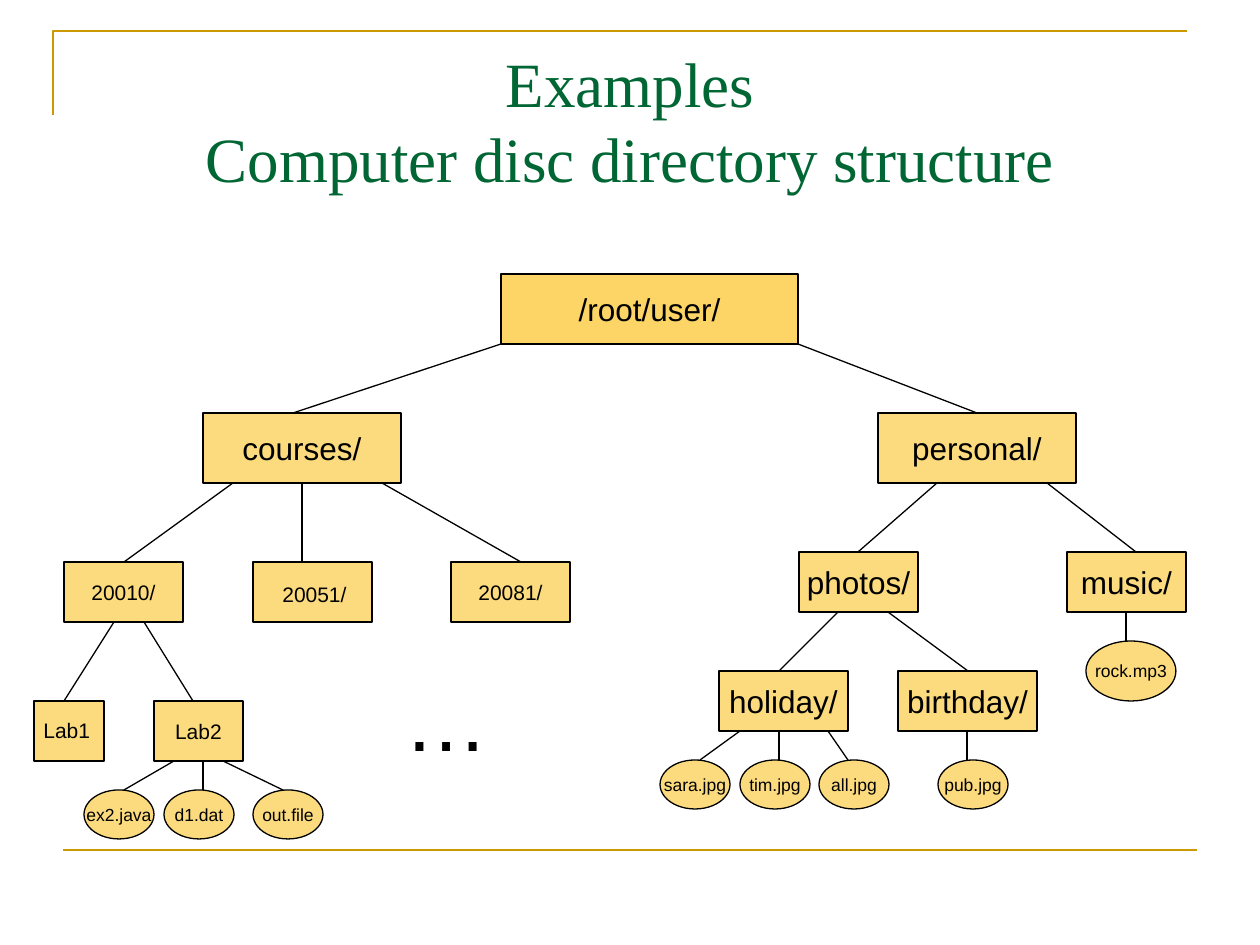
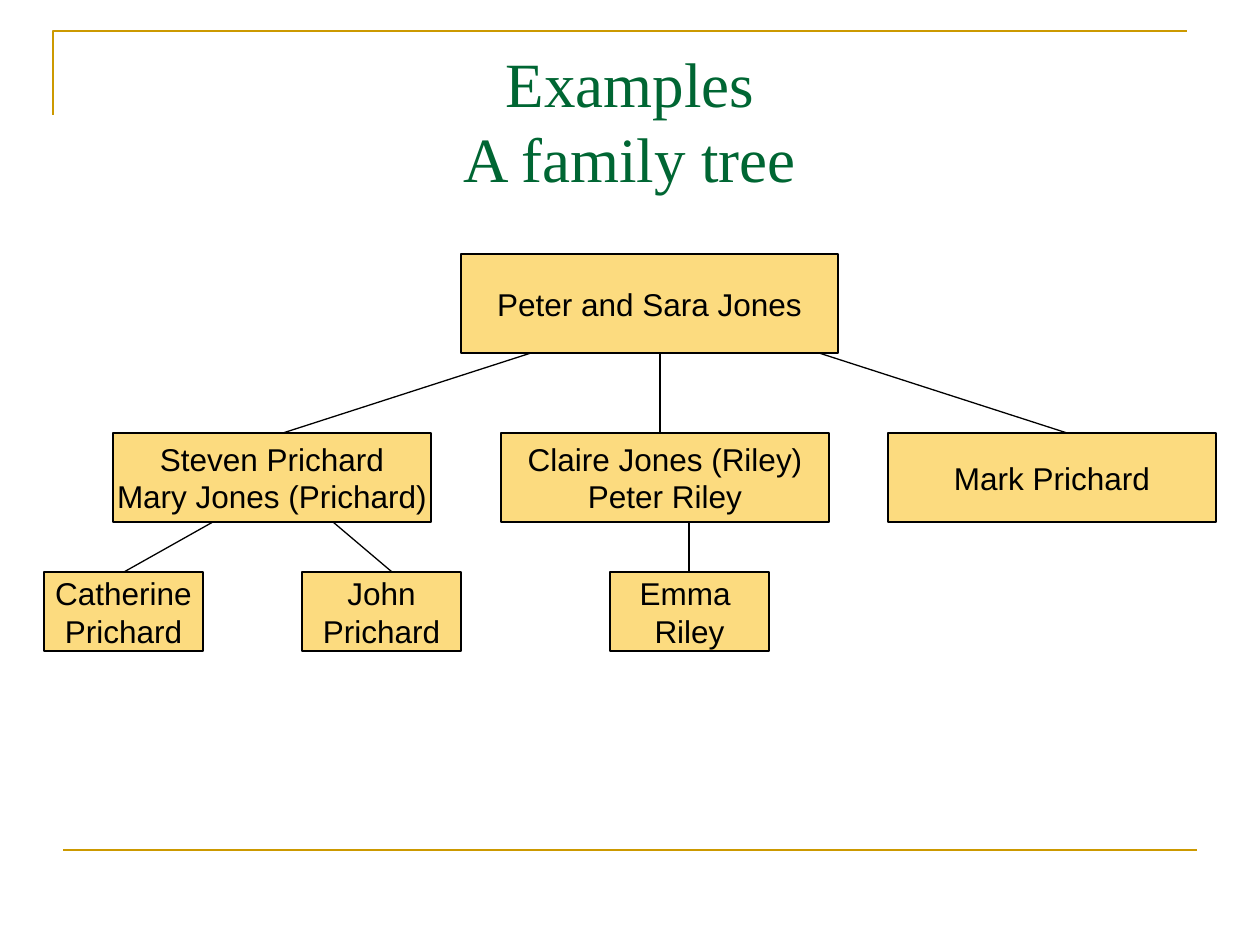
from pptx import Presentation
from pptx import util as u
from pptx.dml.color import RGBColor
from pptx.enum import shapes, text
from pptx.oxml.ns import qn
from lxml import etree

SCALE = 914400 / 126  # EMU in one px


def px(length):
    return u.Emu(round(length * SCALE))


def colour(hex_string):
    return RGBColor.from_string(hex_string)


class Deck:
    GOLD, GREEN, AMBER, BLACK = "CC9900", "006633", "FAB900", "000000"
    HEADING, BODY = "Times New Roman", "Arial"
    LEADING = 1.2

    def __init__(self):
        self.show = Presentation()
        self.show.slide_width, self.show.slide_height = px(1260), px(945)
        self.slide = None

    def new_slide(self, *title_lines):
        """Start a slide with the shared frame and title."""
        self.slide = self.show.slides.add_slide(self.show.slide_layouts[6])
        self.corner()
        self.line(63, 850, 1197, 850, self.GOLD, 1.5)
        self.label(title_lines, 63, 38, 1134, 157, 36, self.HEADING,
                   self.GREEN, text.PP_ALIGN.CENTER)

    def corner(self):
        outline = self.slide.shapes.build_freeform(53, 115, scale=SCALE)
        outline.add_line_segments([(53, 31), (1187, 31)], close=False)
        bracket = outline.convert_to_shape()
        bracket.shadow.inherit = False
        bracket.fill.background()
        self.stroke(bracket, self.GOLD, 1.5)

    def stroke(self, item, hex_string, points):
        item.line.color.rgb = colour(hex_string)
        item.line.width = u.Pt(points)

    def line(self, x1, y1, x2, y2, hex_string=BLACK, points=0.75):
        rule = self.slide.shapes.add_connector(
            shapes.MSO_CONNECTOR.STRAIGHT, px(x1), px(y1), px(x2), px(y2))
        self.stroke(rule, hex_string, points)
        etree.SubElement(rule._element.spPr, qn("a:effectLst"))

    def add_lines(self, frame, lines, size, font, hex_string, align):
        for i, words in enumerate(lines):
            para = frame.paragraphs[0] if i == 0 else frame.add_paragraph()
            para.alignment = align
            para.line_spacing = u.Pt(round(size * self.LEADING, 1))
            run = para.add_run()
            run.text = words
            run.font.size, run.font.name = u.Pt(size), font
            run.font.color.rgb = colour(hex_string)

    def label(self, lines, x, y, w, h, size, font=BODY, hex_string=BLACK,
              align=text.PP_ALIGN.LEFT, wrap=True):
        frame = self.slide.shapes.add_textbox(px(x), px(y), px(w), px(h)).text_frame
        frame.word_wrap = wrap
        self.add_lines(frame, lines, size, font, hex_string, align)

    def node(self, lines, x, y, w, h, size=18, opacity=50,
             kind=shapes.MSO_SHAPE.RECTANGLE):
        """Draw one tree node and return its place for the branches."""
        shape = self.slide.shapes.add_shape(kind, px(x), px(y), px(w), px(h))
        shape.shadow.inherit = False
        shape.fill.solid()
        shape.fill.fore_color.rgb = colour(self.AMBER)
        tint = shape._element.spPr.find(qn("a:solidFill")).find(qn("a:srgbClr"))
        etree.SubElement(tint, qn("a:alpha"), val=str(opacity * 1000))
        self.stroke(shape, self.BLACK, 0.75)
        frame = shape.text_frame
        frame.word_wrap = False
        frame.vertical_anchor = text.MSO_ANCHOR.MIDDLE
        self.add_lines(frame, lines, size, self.BODY, self.BLACK,
                       text.PP_ALIGN.CENTER)
        return x, y, w, h

    def leaf(self, name, x, y, w=70, h=49):
        return self.node([name], x, y, w, h, 10, kind=shapes.MSO_SHAPE.OVAL)

    def branch(self, parent, child, x_from, x_to):
        """Join the parent's bottom edge to the child's top edge."""
        self.line(x_from, parent[1] + parent[3], x_to, child[1])


def directory_slide(deck):
    deck.new_slide("Examples", "Computer disc directory structure")

    # Folders
    root = deck.node(["/root/user/"], 501, 274, 297, 70, opacity=60)
    courses = deck.node(["courses/"], 203, 413, 198, 70)
    personal = deck.node(["personal/"], 878, 413, 198, 70)
    c20010 = deck.node(["20010/"], 64, 562, 119, 60, 12)
    c20051 = deck.node([], 253, 562, 119, 60)
    c20081 = deck.node(["20081/"], 451, 562, 119, 60, 12)
    photos = deck.node(["photos/"], 799, 552, 119, 60)
    music = deck.node(["music/"], 1067, 552, 119, 60)
    holiday = deck.node(["holiday/"], 719, 671, 129, 60)
    birthday = deck.node(["birthday/"], 898, 671, 139, 60)
    lab1 = deck.node([], 34, 701, 70, 60)
    lab2 = deck.node(["Lab2"], 154, 701, 89, 60, 12)

    # Separate labels
    deck.label(["Lab1"], 31, 711, 72, 38, 12)
    deck.label(["20051/"], 270, 575, 89, 38, 12, wrap=False)
    deck.label(["…"], 392, 661, 112, 113, 48)

    # Files
    java, dat, out = [deck.leaf(name, x, 790) for name, x in
                      (("ex2.java", 84), ("d1.dat", 164), ("out.file", 253))]
    sara, tim, everyone, pub = [
        deck.leaf(name, x, 760) for name, x in
        (("sara.jpg", 660), ("tim.jpg", 740), ("all.jpg", 819), ("pub.jpg", 938))]
    rock = deck.leaf("rock.mp3", 1086, 641, 90, 60)

    # Branches
    for link in (
        (root, courses, 501, 293), (root, personal, 798, 977),
        (courses, c20010, 233, 124), (courses, c20051, 302, 302),
        (courses, c20081, 382, 521),
        (c20010, lab1, 114, 64), (c20010, lab2, 144, 193),
        (personal, photos, 937, 858), (personal, music, 1047, 1136),
        (photos, holiday, 838, 779), (photos, birthday, 888, 968),
        (lab2, java, 174, 124), (lab2, dat, 203, 203), (lab2, out, 223, 283),
        (holiday, sara, 740, 700), (holiday, tim, 779, 779),
        (holiday, everyone, 828, 848),
        (birthday, pub, 967, 967), (music, rock, 1126, 1126),
    ):
        deck.branch(*link)


def family_slide(deck):
    deck.new_slide("Examples", "A family tree")

    # Three generations
    grandparents = deck.node(["Peter and Sara Jones"], 461, 254, 377, 99)
    prichards = deck.node(["Steven Prichard", "Mary Jones (Prichard)"],
                          113, 433, 318, 89)
    rileys = deck.node(["Claire Jones (Riley)", "Peter Riley"], 501, 433, 328, 89)
    mark = deck.node(["Mark Prichard"], 888, 433, 328, 89)
    catherine, john, emma = [
        deck.node(names, x, 572, 159, 79) for names, x in
        ((["Catherine", "Prichard"], 44), (["John", "Prichard"], 302),
         (["Emma ", "Riley"], 610))]

    # Branches
    for link in (
        (grandparents, prichards, 531, 283), (grandparents, rileys, 660, 660),
        (grandparents, mark, 819, 1067),
        (prichards, catherine, 213, 124), (prichards, john, 333, 392),
        (rileys, emma, 689, 689),
    ):
        deck.branch(*link)


def main():
    deck = Deck()
    directory_slide(deck)
    family_slide(deck)
    deck.show.save("out.pptx")


if __name__ == "__main__":
    main()
